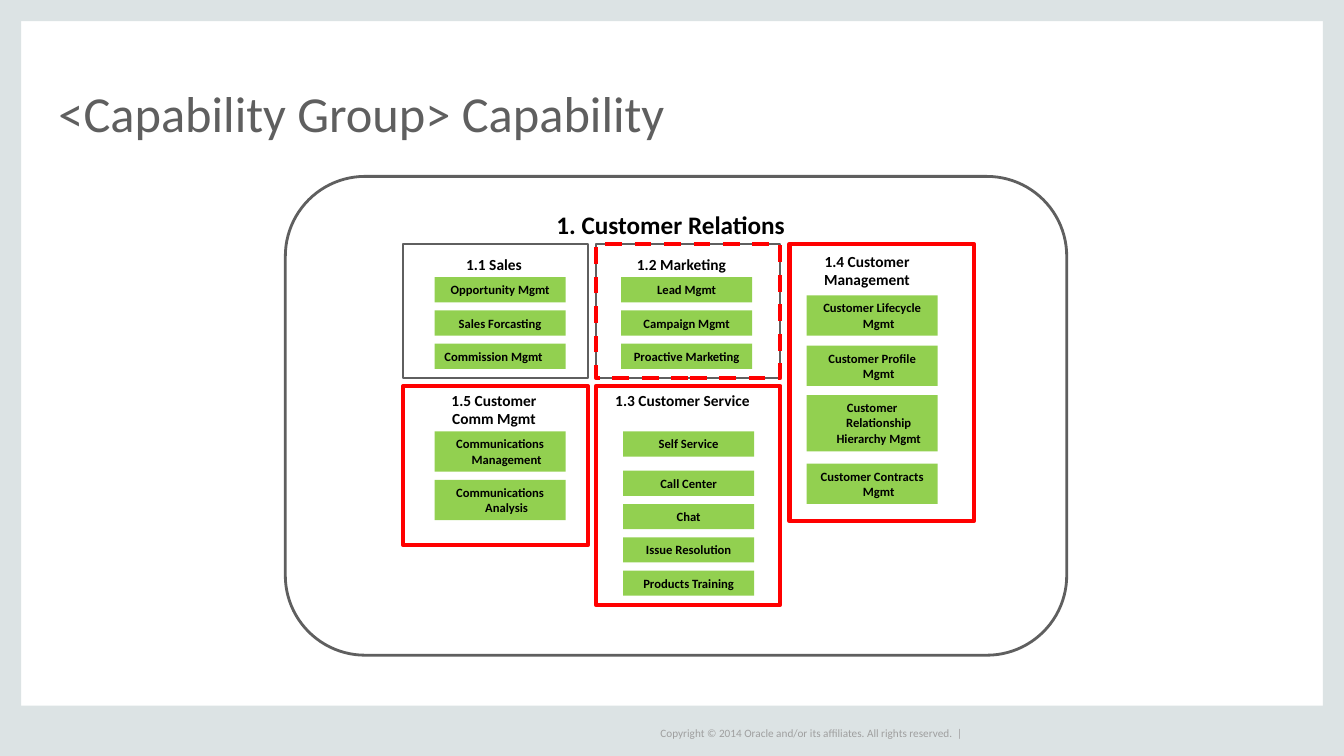
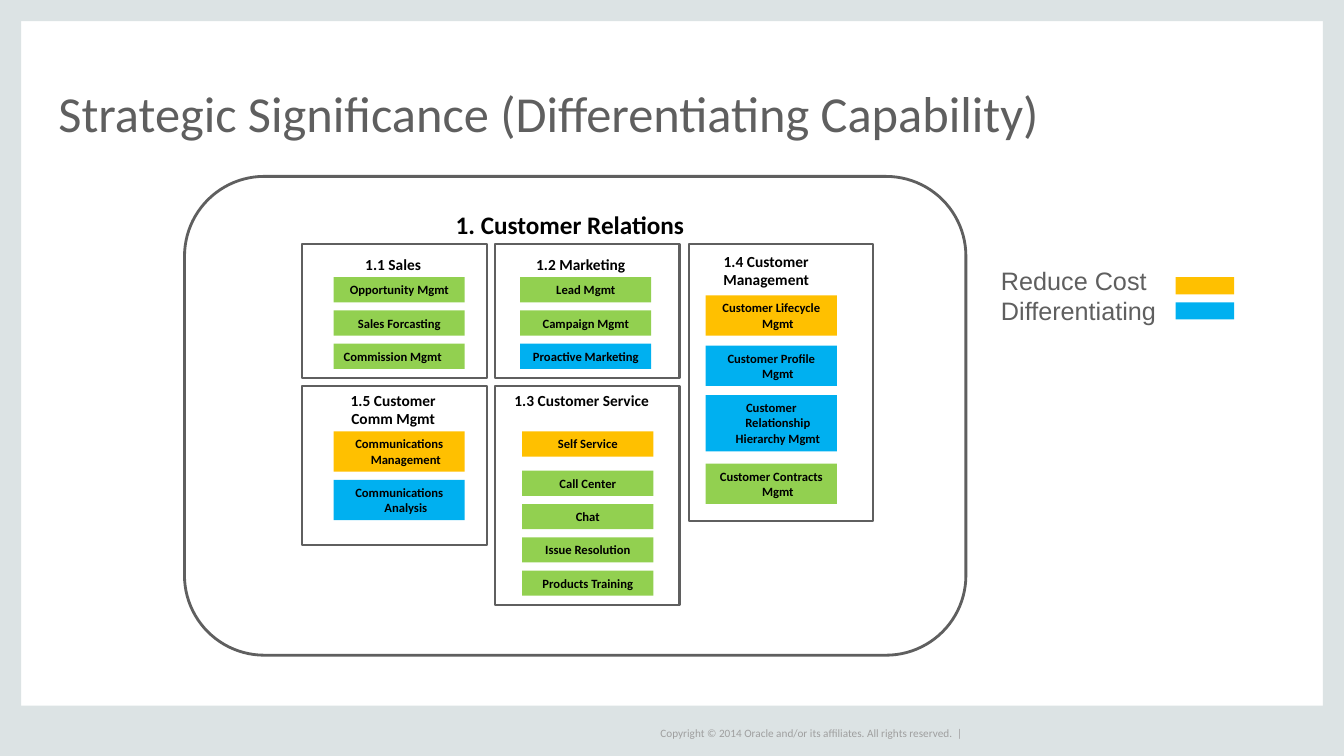
from collections import namedtuple

from pptx import Presentation
from pptx import util as u
from pptx.dml.color import RGBColor
from pptx.enum import dml, shapes, text

PX = 9144  # 100 px to the inch

BAND = RGBColor(0xDC, 0xE3, 0xE4)
GREY = RGBColor(0x5F, 0x5F, 0x5F)
FOOTER_GREY = RGBColor(0x9F, 0x9F, 0x9F)
BLACK = RGBColor(0, 0, 0)
GREEN = RGBColor(0x92, 0xD0, 0x50)
AMBER = RGBColor(0xFF, 0xC0, 0x00)
BLUE = RGBColor(0x00, 0xB0, 0xF0)
RED = RGBColor(0xFF, 0, 0)

PAGE_W, PAGE_H = 1333, 750
BANDS = [(0, 0, 21, PAGE_H), (1312, 0, 21, PAGE_H),
         (0, 700, PAGE_W, 50), (0, 0, PAGE_W, 21)]
MAP_TOP, MAP_W, MAP_H = 175, 775, 475
GROUP_W, CARD_W, LABEL_W = 183, 130, 170
COLUMNS = 117, 308, 500
ROWS = 67, 208

# Group places are relative to the map, label and card places to the group.
Group = namedtuple("Group", "label x y height label_centre label_top card_x cards")
GROUPS = [
    Group("1.1 Sales", COLUMNS[0], ROWS[0], 133, 90, 6, 31,
          [("Opportunity Mgmt", 33, 25), ("Sales Forcasting", 66, 25),
           ("Commission Mgmt", 99, 25)]),
    Group("1.2 Marketing", COLUMNS[1], ROWS[0], 133, 85, 6, 25,
          [("Lead Mgmt", 33, 25), ("Campaign Mgmt", 66, 25),
           ("Proactive Marketing", 99, 25)]),
    Group("1.3 Customer Service", COLUMNS[1], ROWS[1], 217, 86, 0, 27,
          [("Self Service", 45, 25), ("Call Center", 84, 25), ("Chat", 117, 25),
           ("Issue Resolution", 150, 25), ("Products Training", 183, 25)]),
    Group("1.4 Customer\nManagement", COLUMNS[2], ROWS[0], 275, 77, 3, 17,
          [("Customer Lifecycle Mgmt", 51, 40), ("Customer Profile Mgmt", 101, 40),
           ("Customer Relationship Hierarchy Mgmt", 150, 56),
           ("Customer Contracts Mgmt", 218, 40)]),
    Group("1.5 Customer\nComm Mgmt", COLUMNS[0], ROWS[1], 158, 90, 0, 31,
          [("Communications Management", 45, 40), ("Communications Analysis", 93, 40)]),
]
LEFT_ALIGNED = {"Commission Mgmt"}
SOLID, DASH = dml.MSO_LINE.SOLID, dml.MSO_LINE.DASH
HIGHLIGHTS = {"1.2": DASH, "1.3": SOLID, "1.4": SOLID, "1.5": SOLID}
SIGNIFICANCE = {
    "Self Service": AMBER,
    "Customer Lifecycle Mgmt": AMBER,
    "Communications Management": AMBER,
    "Proactive Marketing": BLUE,
    "Customer Profile Mgmt": BLUE,
    "Customer Relationship Hierarchy Mgmt": BLUE,
    "Communications Analysis": BLUE,
}
LEGEND = [("Reduce Cost", AMBER), ("Differentiating", BLUE)]


def emu(*lengths):
    return [u.Emu(length * PX) for length in lengths]


def style_text(frame, size, colour, font="Calibri", bold=False,
               align=text.PP_ALIGN.LEFT):
    for para in frame.paragraphs:
        para.alignment = align
        for span in para.runs:
            span.font.size = u.Pt(size)
            span.font.name = font
            span.font.bold = bold
            span.font.color.rgb = colour


def add_text(page, box, words, size, colour, **style):
    frame = page.shapes.add_textbox(*emu(*box)).text_frame
    frame.word_wrap = True
    frame.text = words
    style_text(frame, size, colour, **style)
    return frame


def clear_insets(frame):
    frame.margin_left = frame.margin_right = 0
    frame.margin_top = frame.margin_bottom = 0


def add_filled(page, box, colour):
    shape = page.shapes.add_shape(shapes.MSO_SHAPE.RECTANGLE, *emu(*box))
    shape.shadow.inherit = False
    shape.fill.solid()
    shape.fill.fore_color.rgb = colour
    shape.line.fill.background()
    return shape


def add_outline(page, box, colour, width, dash=SOLID,
                kind=shapes.MSO_SHAPE.RECTANGLE):
    shape = page.shapes.add_shape(kind, *emu(*box))
    shape.shadow.inherit = False
    shape.fill.background()
    shape.line.color.rgb = colour
    shape.line.width = u.Pt(width)
    shape.line.dash_style = dash


def build_master(deck, page):
    """Draw the bands and footer on a page, then move them to the master."""
    title_count = len(page.shapes)
    for band in BANDS:
        add_filled(page, band, BAND)
    footer = add_text(
        page, (655, 717, 305, 20),
        "Copyright © 2014 Oracle and/or its affiliates. All rights reserved.  |",
        8, FOOTER_GREY)
    clear_insets(footer)
    footer.word_wrap = False
    footer.vertical_anchor = text.MSO_ANCHOR.MIDDLE
    tree = deck.slide_master.shapes.element
    for order, shape in enumerate(list(page.shapes)[title_count:]):
        shape.element.xpath("./p:nvSpPr/p:cNvPr")[0].set("id", str(100 + order))
        tree.insert(2 + order, shape.element)


def set_title(page, words):
    title = page.shapes.title
    title.left, title.top, title.width, title.height = emu(58, 44, 1217, 97)
    frame = title.text_frame
    frame.text = words
    clear_insets(frame)
    frame.auto_size = text.MSO_AUTO_SIZE.NONE
    frame.vertical_anchor = text.MSO_ANCHOR.BOTTOM
    frame.paragraphs[0].line_spacing = 0.8
    style_text(frame, 36, GREY)


def add_card(page, box, words, colour):
    frame = add_filled(page, box, colour).text_frame
    frame.word_wrap = True
    frame.vertical_anchor = text.MSO_ANCHOR.TOP
    frame.text = words
    hanging = frame.paragraphs[0]._p.get_or_add_pPr()
    hanging.set("marL", str(13 * PX))
    hanging.set("indent", str(-13 * PX))
    align = text.PP_ALIGN.LEFT if words in LEFT_ALIGNED else text.PP_ALIGN.CENTER
    style_text(frame, 9, BLACK, bold=True, align=align)


def add_group(page, left, top, group, fills, highlight):
    box = left, top, GROUP_W, group.height
    label_left = left + group.label_centre - LABEL_W // 2
    label_height = 29 + 18 * group.label.count("\n")
    add_text(page, (label_left, top + group.label_top, LABEL_W, label_height),
             group.label, 11, BLACK, bold=True, align=text.PP_ALIGN.CENTER)
    for words, card_top, height in group.cards:
        add_card(page, (left + group.card_x, top + card_top, CARD_W, height),
                 words, fills.get(words, GREEN))
    add_outline(page, box, GREY, 1.5)
    if highlight is not None:
        add_outline(page, box, RED, 3, highlight)


def add_capability_map(page, left, top, fills, highlights):
    add_outline(page, (left, top, MAP_W, MAP_H), GREY, 2,
                kind=shapes.MSO_SHAPE.ROUNDED_RECTANGLE)
    heading = add_text(page, (left + 259, top + 28, 249, 40),
                       "1. Customer Relations", 18, BLACK, bold=True)
    heading.word_wrap = False
    for group in GROUPS:
        number = group.label.split()[0]
        add_group(page, left + group.x, top + group.y, group, fills,
                  highlights.get(number))


def add_legend(page, left, top):
    names = "\n".join(name for name, _ in LEGEND)
    frame = add_text(page, (left, top, 176, 71), names, 18, GREY, font="Arial")
    frame.word_wrap = False
    for row, (_, colour) in enumerate(LEGEND):
        add_filled(page, (left + 183, top + 17 + 25 * row, 58, 17), colour)


def add_page(deck, title):
    page = deck.slides.add_slide(deck.slide_layouts.get_by_name("Title Only"))
    set_title(page, title)
    return page


def main():
    deck = Presentation()
    deck.slide_width, deck.slide_height = emu(PAGE_W, PAGE_H)

    page = add_page(deck, "<Capability Group> Capability")
    build_master(deck, page)
    add_capability_map(page, 283, MAP_TOP, {}, HIGHLIGHTS)

    page = add_page(deck, "Strategic Significance (Differentiating Capability)")
    add_capability_map(page, 183, MAP_TOP, SIGNIFICANCE, {})
    add_legend(page, 983, 258)

    deck.save("out.pptx")


if __name__ == "__main__":
    main()
